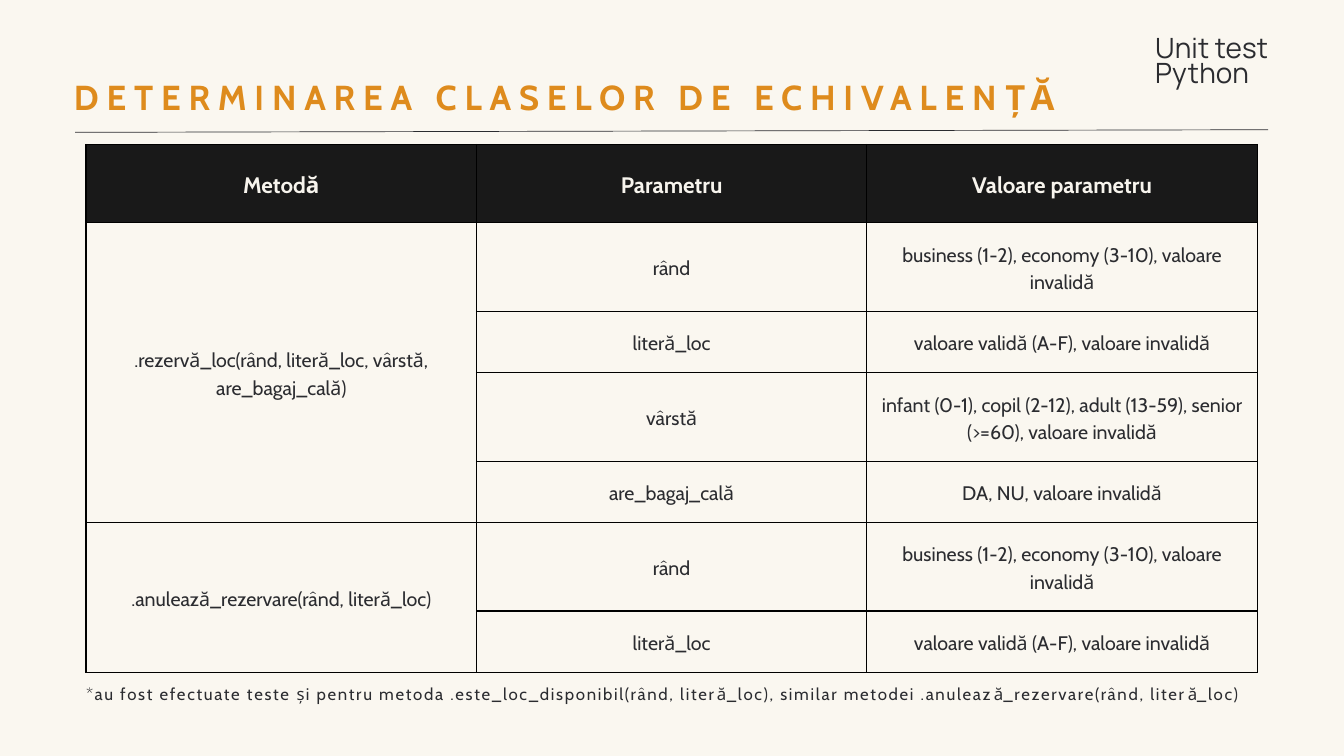
from lxml import etree
from pptx import Presentation
from pptx.dml.color import RGBColor
from pptx.enum.shapes import MSO_CONNECTOR
from pptx.enum.text import MSO_ANCHOR, MSO_AUTO_SIZE, PP_ALIGN
from pptx.oxml import parse_xml
from pptx.oxml.ns import qn
from pptx.util import Pt

STRAIGHT = MSO_CONNECTOR.STRAIGHT
TOP, MIDDLE = MSO_ANCHOR.TOP, MSO_ANCHOR.MIDDLE
LEFT, CENTER = PP_ALIGN.LEFT, PP_ALIGN.CENTER
NO_AUTOFIT = MSO_AUTO_SIZE.NONE

CREAM = RGBColor(0xFA, 0xF7, 0xF0)
HEADER_TEXT = RGBColor(0xF7, 0xF4, 0xED)
HEADER_FILL = RGBColor(0x19, 0x19, 0x19)
INK = RGBColor(0x2B, 0x2C, 0x30)
ORANGE = RGBColor(0xDE, 0x8B, 0x1D)

MARGINS = ("margin_left", "margin_top", "margin_right", "margin_bottom")
BORDER = (
    '<a:{} xmlns:a="http://schemas.openxmlformats.org/drawingml/2006/main" w="19050">'
    '<a:solidFill><a:srgbClr val="000000"/></a:solidFill></a:{}>'
)


def write(frame, lines, line_height, align, spacing, **font_format):
    frame.text = "\n".join(lines)
    for paragraph in frame.paragraphs:
        paragraph.alignment = align
        paragraph.line_spacing = Pt(line_height)
        run = paragraph.runs[0]
        run._r.get_or_add_rPr().set("spc", str(round(spacing * 100)))
        run.font.color.rgb = font_format["color"]
        for name in ("name", "size", "bold"):
            setattr(run.font, name, font_format[name])


def place(box, left, top, width, height):
    box.left, box.top, box.width, box.height = Pt(left), Pt(top), Pt(width), Pt(height)
    frame = box.text_frame
    frame.word_wrap = True
    frame.auto_size = NO_AUTOFIT
    frame.vertical_anchor = TOP
    for margin in MARGINS:
        setattr(frame, margin, 0)
    return frame


prs = Presentation()
prs.slide_width, prs.slide_height = Pt(1440), Pt(810)
slide = prs.slides.add_slide(prs.slide_layouts[5])
slide.background.fill.solid()
slide.background.fill.fore_color.rgb = CREAM

rule = slide.shapes.add_connector(STRAIGHT, Pt(80.6), Pt(141.8), Pt(1358.6), Pt(139))
rule.line.color.rgb = INK
rule.line.width = Pt(0.75)
etree.SubElement(rule._element.spPr, qn("a:effectLst"))

course = place(slide.shapes.add_textbox(0, 0, 0, 0), 1237.7, 41, 132.5, 85)
write(course, ["Unit test", "Python"], 27.2, LEFT, 0.1,
      name="Manrope", size=Pt(29.9), bold=False, color=INK)

title = place(slide.shapes.title, 79.2, 74.2, 1278, 51)
write(title, ["DETERMINAREA CLASELOR DE ECHIVALENȚĂ"], 52, LEFT, 8.4,
      name="Cabin", size=Pt(37.1), bold=True, color=ORANGE)

SEAT_ROW = ("rând", "business (1-2), economy (3-10), valoare invalidă")
SEAT_LETTER = ("literă_loc", "valoare validă (A-F), valoare invalidă")
methods = [
    (".rezervă_loc(rând, literă_loc, vârstă, are_bagaj_cală)", [
        SEAT_ROW,
        SEAT_LETTER,
        ("vârstă", "infant (0-1), copil (2-12), adult (13-59), senior (>=60), valoare invalidă"),
        ("are_bagaj_cală", "DA, NU, valoare invalidă"),
    ]),
    (".anulează_rezervare(rând, literă_loc)", [SEAT_ROW, SEAT_LETTER]),
]
rows = [("Metodă", "Parametru", "Valoare parametru")]
method_spans = []
for method, parameters in methods:
    method_spans.append((len(rows), len(rows) + len(parameters) - 1))
    for index, parameter in enumerate(parameters):
        rows.append((method if index == 0 else "", *parameter))

row_heights = [84] + [95, 65.5] * 3
classes = slide.shapes.add_table(
    len(rows), 3, Pt(92.2), Pt(154.8), Pt(1255), Pt(sum(row_heights))).table
classes.first_row = classes.horz_banding = False
for column in classes.columns:
    column.width = Pt(418.3)

for row_index, (texts, height) in enumerate(zip(rows, row_heights)):
    classes.rows[row_index].height = Pt(height)
    header = row_index == 0
    for column_index, text in enumerate(texts):
        cell = classes.cell(row_index, column_index)
        cell.vertical_anchor = MIDDLE
        for margin in MARGINS:
            setattr(cell, margin, Pt(15))
        for side in ("lnL", "lnR", "lnT", "lnB"):
            cell._tc.get_or_add_tcPr().append(parse_xml(BORDER.format(side, side)))
        if header:
            cell.fill.solid()
            cell.fill.fore_color.rgb = HEADER_FILL
        else:
            cell.fill.background()
        if text:
            write(cell.text_frame, [text], 33.6 if header else 29.4, CENTER, 0,
                  name="Cabin", size=Pt(24 if header else 21), bold=header,
                  color=HEADER_TEXT if header else INK)

for first, last in method_spans:
    classes.cell(first, 0).merge(classes.cell(last, 0))

footnote = place(slide.shapes.add_textbox(0, 0, 0, 0), 92.2, 729.4, 1255, 49)
write(footnote, ["*au fost efectuate teste și pentru metoda .este_loc_disponibil(rând, literă_loc), "
                 "similar metodei .anulează_rezervare(rând, literă_loc)"], 25.2, LEFT, 1.8,
      name="Cabin", size=Pt(18), bold=False, color=INK)

prs.save("out.pptx")
